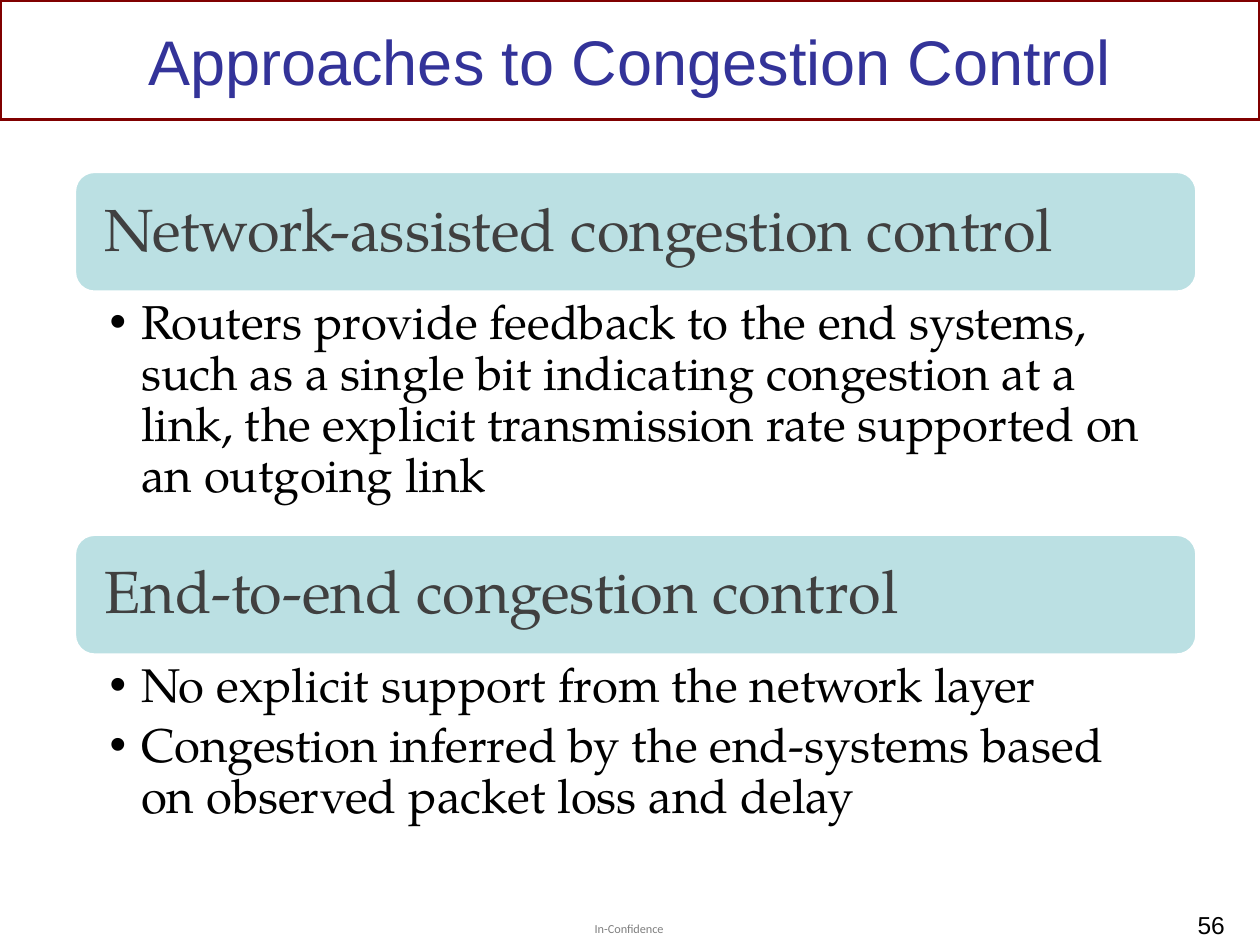
"""Build the slide on two approaches to congestion control."""
from pptx import Presentation
from pptx.dml.color import RGBColor
from pptx.enum.shapes import MSO_SHAPE
from pptx.enum.text import MSO_ANCHOR, MSO_AUTO_SIZE, PP_ALIGN
from pptx.oxml.ns import qn
from pptx.util import Inches, Pt

RECTANGLE, ROUNDED = MSO_SHAPE.RECTANGLE, MSO_SHAPE.ROUNDED_RECTANGLE
TOP, MIDDLE = MSO_ANCHOR.TOP, MSO_ANCHOR.MIDDLE
LEFT, CENTER, RIGHT = PP_ALIGN.LEFT, PP_ALIGN.CENTER, PP_ALIGN.RIGHT
NO_AUTOFIT = MSO_AUTO_SIZE.NONE

THEME = {
    "title": ("Arial", 36, "333399"),
    "heading": ("TeX Gyre Pagella", 34, "404040"),
    "list": ("TeX Gyre Pagella", 27, "000000"),
    "footer": ("Calibri", 7, "7F7F7F"),
    "number": ("Arial", 14, "000000"),
    "frame": "800000",
    "band": "BBE0E3",
    "band edge": "FFFFFF",
}
APPROACHES = [
    ("Network-assisted congestion control", [
        "Routers provide feedback to the end systems, such as a single bit "
        "indicating congestion at a link, the explicit transmission rate "
        "supported on an outgoing link"]),
    ("End-to-end congestion control", [
        "No explicit support from the network layer",
        "Congestion inferred by the end-systems based on observed packet loss and delay"]),
]
COLUMN_LEFT, COLUMN_WIDTH = Inches(0.59), Inches(8.91)
FIRST_ROW, ROW_PITCH, BAND_HEIGHT = Inches(1.36), Inches(2.88), Inches(0.96)
LIST_HEIGHTS = Inches(1.92), Inches(1.58)


def place(part, left, top, width, height):
    part.left, part.top, part.width, part.height = left, top, width, height


def style(part, role, align, anchor, insets):
    face, size, color = THEME[role]
    frame = part.text_frame
    frame.word_wrap, frame.auto_size, frame.vertical_anchor = True, NO_AUTOFIT, anchor
    (frame.margin_left, frame.margin_top,
     frame.margin_right, frame.margin_bottom) = map(Inches, insets)
    for paragraph in frame.paragraphs:
        paragraph.alignment = align
        for run in paragraph.runs:
            run.font.name, run.font.size = face, Pt(size)
            run.font.color.rgb = RGBColor.from_string(color)


deck = Presentation()
deck.slide_width, deck.slide_height = Inches(10), Inches(7.5)
slide = deck.slides.add_slide(deck.slide_layouts[3])
shapes = slide.shapes

title_frame = shapes.add_shape(RECTANGLE, 0, 0, deck.slide_width, Inches(0.95))
title_frame.shadow.inherit = False
title_frame.fill.background()
title_frame.line.color.rgb = RGBColor.from_string(THEME["frame"])
title_frame.line.width = Pt(2)

title = shapes.title
title.text_frame.text = "Approaches to Congestion Control"
place(title, Inches(0.5), Inches(0.08), Inches(9), Inches(0.79))
style(title, "title", CENTER, MIDDLE, (0.1, 0.05, 0.1, 0.05))

for row, (heading, points) in enumerate(APPROACHES):
    top = FIRST_ROW + row * ROW_PITCH
    band = shapes.add_shape(ROUNDED, COLUMN_LEFT, top, COLUMN_WIDTH, BAND_HEIGHT)
    band.shadow.inherit = False
    band.fill.solid()
    band.fill.fore_color.rgb = RGBColor.from_string(THEME["band"])
    band.line.color.rgb = RGBColor.from_string(THEME["band edge"])
    band.line.width = Pt(2)
    band.text_frame.text = heading
    band.text_frame.paragraphs[0].line_spacing = 0.9
    style(band, "heading", LEFT, MIDDLE, (0.19, 0.14, 0.19, 0.14))

    point_list = slide.placeholders[row + 1]
    place(point_list, COLUMN_LEFT, top + BAND_HEIGHT, COLUMN_WIDTH, LIST_HEIGHTS[row])
    point_list.text_frame.text = "\n".join(points)
    for point in point_list.text_frame.paragraphs:
        properties = point._p.get_or_add_pPr()
        properties.set("marL", str(Inches(0.25)))
        properties.set("indent", str(-Inches(0.25)))
        bullet = properties.makeelement(qn("a:buChar"), {"char": "•"})
        properties.append(bullet)
        point.line_spacing = 0.9
        point.space_before, point.space_after = Pt(0), Pt(5)
    style(point_list, "list", LEFT, TOP, (0.28, 0.05, 0.26, 0.05))

footer = shapes.add_textbox(Inches(4.72), Inches(7.31), Inches(0.57), Inches(0.12))
footer.text_frame.text = "In-Confidence"
style(footer, "footer", LEFT, TOP, (0, 0, 0, 0))
footer.text_frame.word_wrap = False

page_number = shapes.add_textbox(Inches(7.62), Inches(7.17), Inches(2.2), Inches(0.3))
page_number.text_frame.text = "56"
style(page_number, "number", RIGHT, TOP, (0.1, 0.05, 0.1, 0.05))

deck.save("out.pptx")
